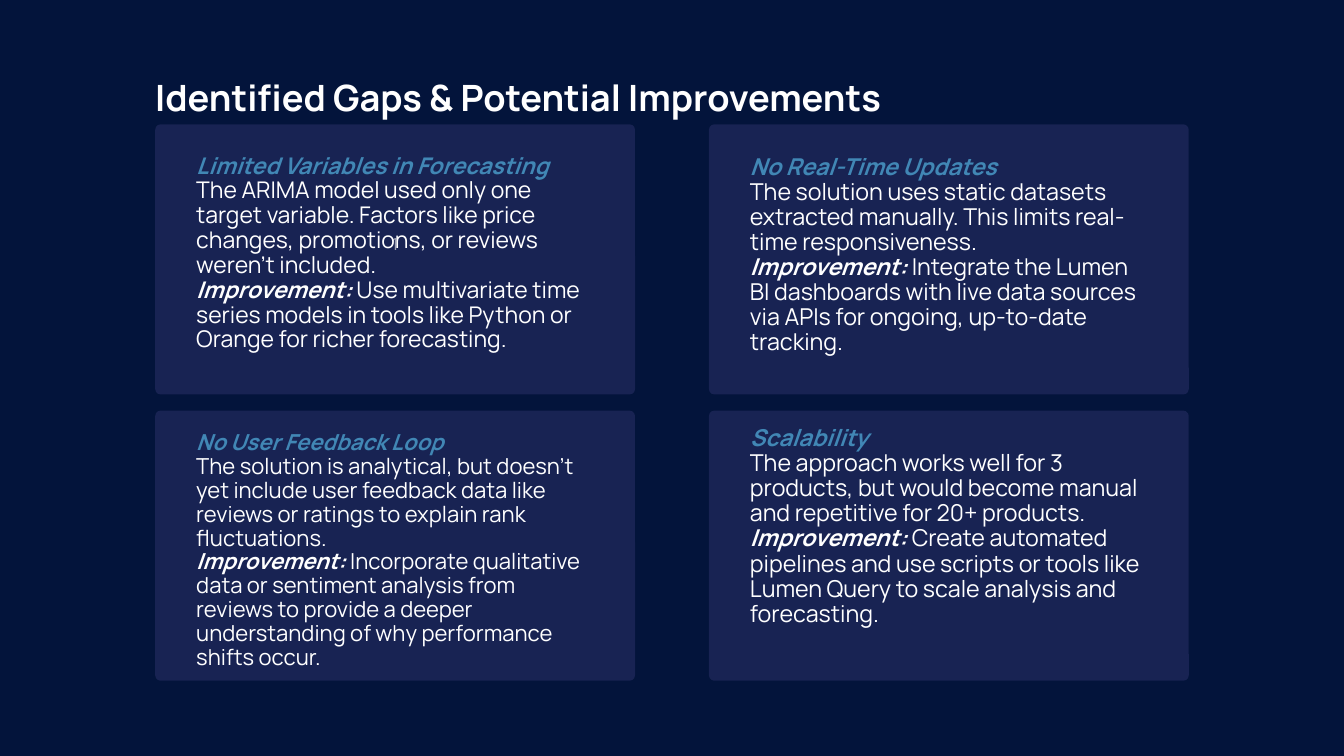
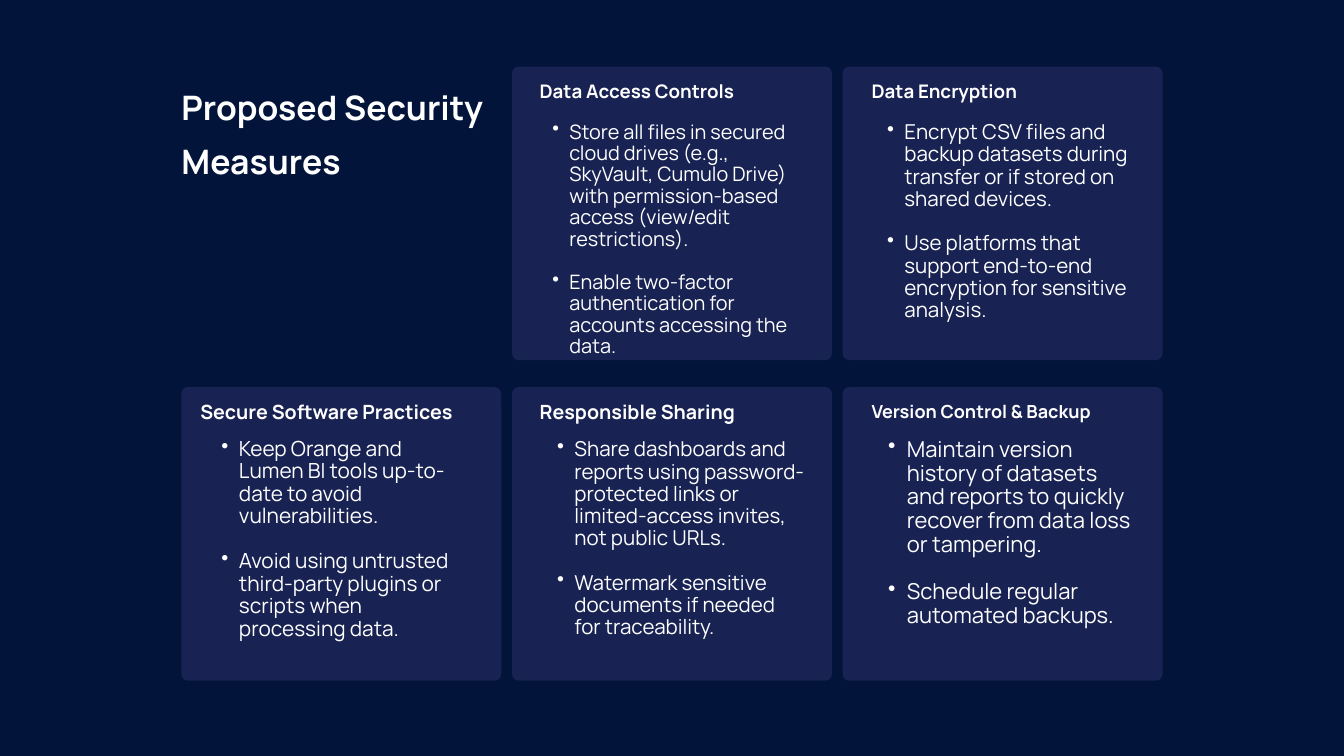
from collections import namedtuple

from lxml import etree
from pptx import Presentation
from pptx import util as u
from pptx.dml.color import RGBColor
from pptx.enum import shapes, text
from pptx.oxml import ns

HUES = {"back": "03143B", "card": "2A3066", "head": "4187B5", "text": "FFFFFF"}
FACE = "Manrope"
LEAD = 1.08
CLEAR = 56
INDENT = 0.0236

Grid = namedtuple("Grid", "left top wide high across down curve")
GAPS = Grid(2.31, 1.85, 7.14, 4.02, 8.24, 4.26, 0.02)
SAFE = Grid(2.7, 0.99, 4.76, 4.37, 4.92, 4.77, 0.023)

GAP_CARDS = [
    (0, 0, 0.44, 24.6, "Limited Variables in Forecasting",
     "The ARIMA model used only one target variable. Factors like price changes, "
     "promotions, or reviews weren’t included.",
     "Use multivariate time series models in tools like Python or Orange for "
     "richer forecasting."),
    (1, 0, 0.45, 24.9, "No Real-Time Updates",
     "The solution uses static datasets extracted manually. This limits real-time "
     "responsiveness.",
     "Integrate the Lumen BI dashboards with live data sources via APIs for "
     "ongoing, up-to-date tracking."),
    (0, 1, 0.31, 23.6, "No User Feedback Loop",
     "The solution is analytical, but doesn't yet include user feedback data like "
     "reviews or ratings to explain rank fluctuations.",
     "Incorporate qualitative data or sentiment analysis from reviews to provide a "
     "deeper understanding of why performance shifts occur."),
    (1, 1, 0.23, 24.9, "Scalability",
     "The approach works well for 3 products, but would become manual and "
     "repetitive for 20+ products.",
     "Create automated pipelines and use scripts or tools like Lumen Query to "
     "scale analysis and forecasting."),
]

SAFE_CARDS = [
    (1, 0, (0.41, 0.23, 20), (0.35, 0.82, 21.3), "Data Access Controls",
     ["Store all files in secured cloud drives (e.g., SkyVault, Cumulo Drive) with "
      "permission-based access (view/edit restrictions).",
      "Enable two-factor authentication for accounts accessing the data."]),
    (2, 0, (0.43, 0.23, 20), (0.4, 0.82, 22), "Data Encryption",
     ["Encrypt CSV files and backup datasets during transfer or if stored on "
      "shared devices.",
      "Use platforms that support end-to-end encryption for sensitive analysis."]),
    (0, 1, (0.28, 0.22, 21), (0.33, 0.76, 22.3), "Secure Software Practices",
     ["Keep Orange and Lumen BI tools up-to-date to avoid vulnerabilities.",
      "Avoid using untrusted third-party plugins or scripts when processing data."]),
    (1, 1, (0.41, 0.22, 21), (0.41, 0.77, 22), "Responsible Sharing",
     ["Share dashboards and reports using password-protected links or "
      "limited-access invites, not public URLs.",
      "Watermark sensitive documents if needed for traceability."]),
    (2, 1, (0.43, 0.24, 19.3), (0.4, 0.76, 23.5), "Version Control & Backup",
     ["Maintain version history of datasets and reports to quickly recover from "
      "data loss or tampering.",
      "Schedule regular automated backups."]),
]


def paint(fill, hue, alpha=None):
    """Fill with a named colour, at a given opacity in percent."""
    fill.solid()
    fill.fore_color.rgb = RGBColor.from_string(HUES[hue])
    if alpha:
        tint = fill._xPr.find(".//" + ns.qn("a:srgbClr"))
        etree.SubElement(tint, ns.qn("a:alpha"), val=str(alpha * 1000))


def style(para, size, hue="text", bold=False, slant=False, face=FACE, lead=LEAD):
    """Set the font and the exact line height of a paragraph."""
    para.line_spacing = u.Pt(round(size * lead, 1))
    font = para.font
    font.name, font.size = face, u.Pt(size)
    font.bold, font.italic = bold, slant
    font.color.rgb = RGBColor.from_string(HUES[hue])


def bare(frame):
    """Make a text frame wrap, with no margins, from its top."""
    frame.word_wrap = True
    frame.auto_size = text.MSO_AUTO_SIZE.NONE
    frame.vertical_anchor = text.MSO_ANCHOR.TOP
    frame.margin_left = frame.margin_right = 0
    frame.margin_top = frame.margin_bottom = 0
    return frame


def block(slide, left, top, wide, high):
    """Add a bare text box and return its frame."""
    box = slide.shapes.add_textbox(*map(u.Inches, (left, top, wide, high)))
    return bare(box.text_frame)


def lines(frame, count):
    """Yield the given number of paragraphs of an empty frame."""
    yield frame.paragraphs[0]
    for _ in range(count - 1):
        yield frame.add_paragraph()


def page(deck, words, spot, size, lead=LEAD):
    """Add a slide with its title placed and styled."""
    slide = deck.slides.add_slide(deck.slide_layouts[5])
    title = slide.shapes.title
    title.left, title.top, title.width, title.height = map(u.Inches, spot)
    bare(title.text_frame).text = words
    para = title.text_frame.paragraphs[0]
    para.alignment = text.PP_ALIGN.LEFT
    style(para, size, bold=True, lead=lead)
    return slide


def card(slide, grid, col, row):
    """Draw a rounded card in a grid cell and return its corner."""
    left, top = grid.left + col * grid.across, grid.top + row * grid.down
    shape = slide.shapes.add_shape(
        shapes.MSO_SHAPE.ROUNDED_RECTANGLE,
        *map(u.Inches, (left, top, grid.wide, grid.high)))
    shape.adjustments[0] = grid.curve
    shape.shadow.inherit = False
    shape.line.fill.background()
    paint(shape.fill, "card", CLEAR)
    return left, top


def mark(slide, grid):
    """Put the faint number in the middle of the first card."""
    frame = block(slide, grid.left, grid.top - 0.17, grid.wide, grid.high - 0.24)
    frame.vertical_anchor = text.MSO_ANCHOR.MIDDLE
    para = frame.paragraphs[0]
    para.alignment = text.PP_ALIGN.CENTER
    style(para, 18.1, face="Open Sans", lead=1.61)
    run = para.add_run()
    run.text = "1"
    paint(run.font.fill, "text", CLEAR)


def gap(slide, left, top, size, head, issue, remedy):
    """Write a gap: its heading, the issue and the improvement."""
    frame = block(slide, left, top, 5.92, 3.69)
    first, second, third = lines(frame, 3)
    style(first, size, "head", bold=True, slant=True)
    first.add_run().text = head
    style(second, size)
    second.add_run().text = issue
    style(third, size)
    label = third.add_run()
    label.text = "Improvement:"
    label.font.bold = label.font.italic = True
    third.add_run().text = " " + remedy


def bullets(slide, left, top, size, items):
    """Write a bulleted list with one line of space between items."""
    frame = block(slide, left, top, 3.94, 3.6)
    inset = u.Inches(size * INDENT)
    for spot, (para, item) in enumerate(zip(lines(frame, len(items)), items)):
        para.level = 1
        props = para._p.get_or_add_pPr()
        props.set("marL", str(inset))
        props.set("indent", str(-inset // 2))
        etree.SubElement(props, ns.qn("a:buChar"), char="•")
        para.space_before = u.Pt(round(size * LEAD, 1) if spot else 0)
        style(para, size)
        para.add_run().text = item


def gaps(deck):
    """Build the slide of gaps and improvements."""
    slide = page(deck, "Identified Gaps & Potential Improvements",
                 (GAPS.left, 1.19, 15.94, 0.63), 38.8)
    for col, row, drop, size, *words in GAP_CARDS:
        left, top = card(slide, GAPS, col, row)
        if col == row == 0:
            mark(slide, GAPS)
        gap(slide, left + 0.61, top + drop, size, *words)


def safety(deck):
    """Build the slide of security measures."""
    slide = page(deck, "Proposed Security Measures",
                 (SAFE.left, 1.09, 6.75, 1.6), 36.1, lead=1.61)
    for col, row, (over, drop, size), (inset, fall, small), head, items in SAFE_CARDS:
        left, top = card(slide, SAFE, col, row)
        para = block(slide, left + over, top + drop, 4.05, 0.33).paragraphs[0]
        style(para, size, bold=True)
        para.add_run().text = head
        bullets(slide, left + inset, top + fall, small, items)


def main():
    """Build and save the deck."""
    deck = Presentation()
    deck.slide_width, deck.slide_height = u.Inches(20), u.Inches(11.25)
    paint(deck.slide_master.background.fill, "back")
    gaps(deck)
    safety(deck)
    deck.save("out.pptx")


if __name__ == "__main__":
    main()
